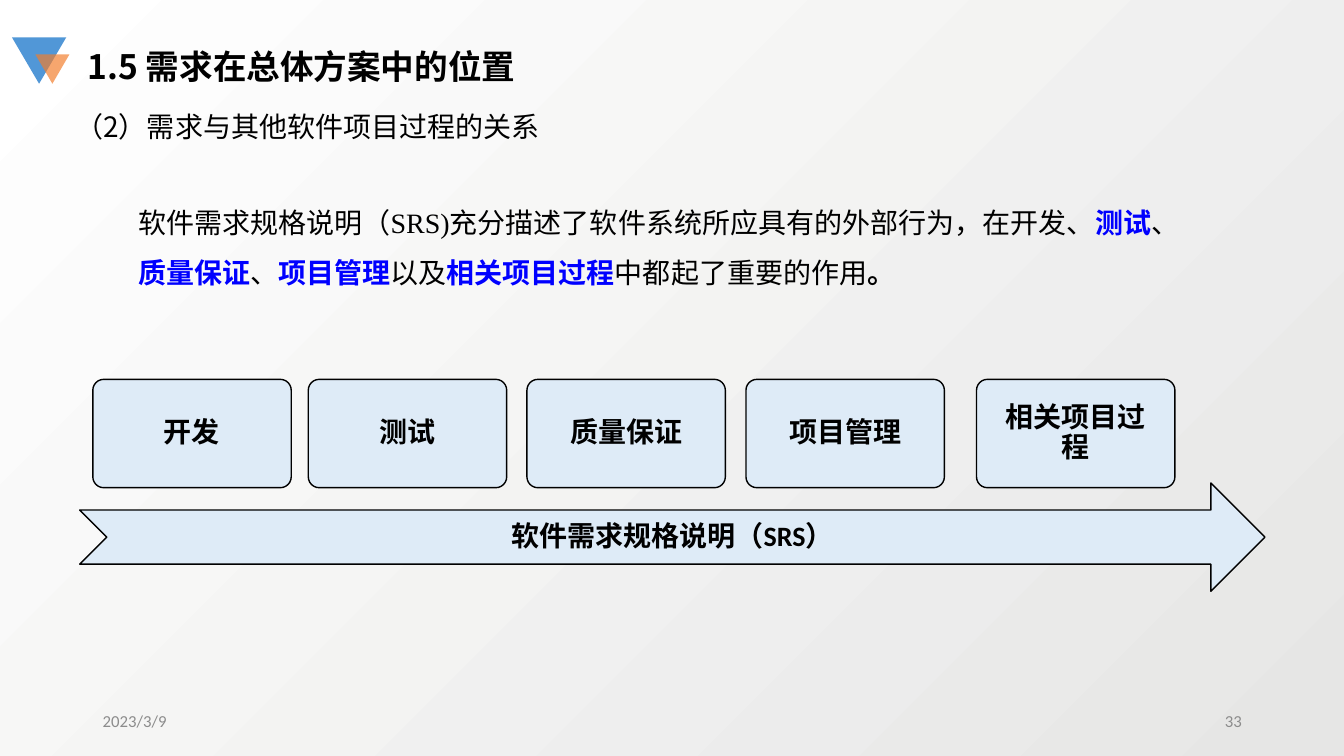
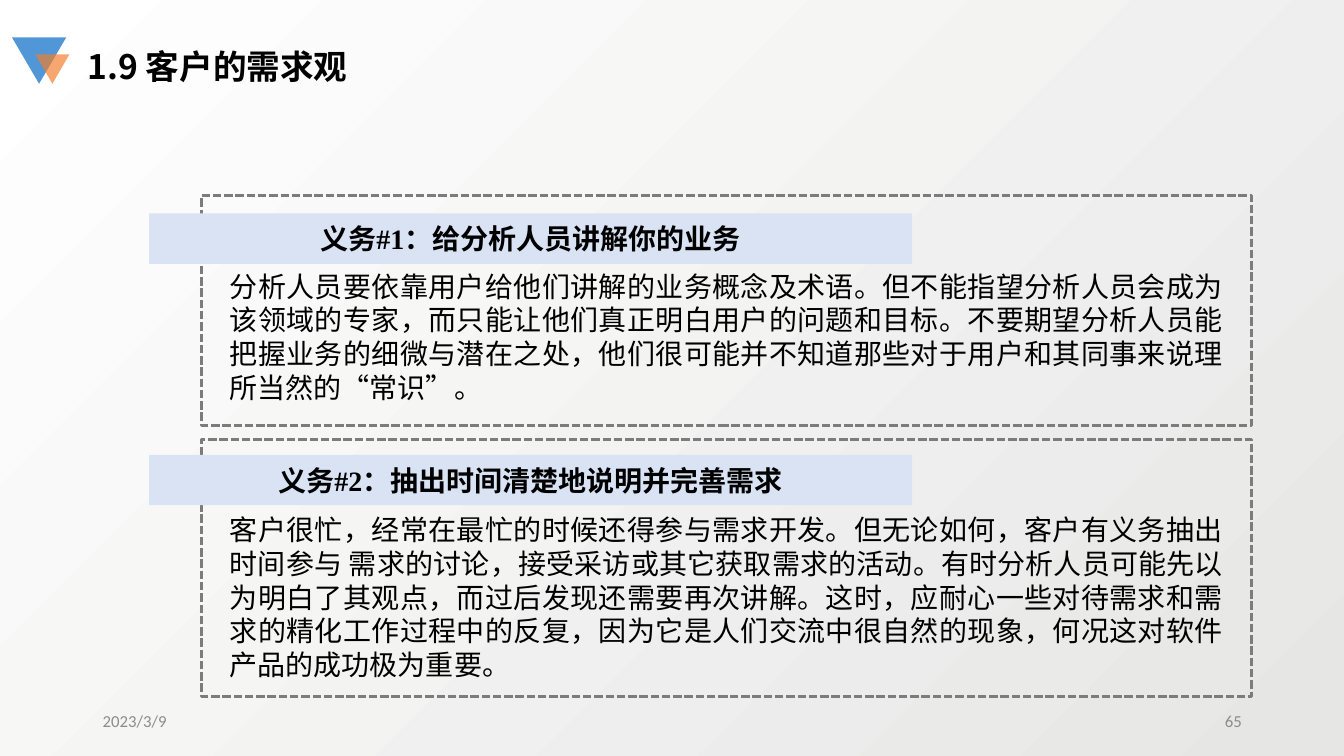
"""Build two slides on software requirements: their place in a project and the customer's duties."""
from lxml import etree
from pptx import Presentation
from pptx.dml.color import RGBColor
from pptx.enum.dml import MSO_LINE
from pptx.enum.shapes import MSO_SHAPE
from pptx.enum.text import MSO_ANCHOR, PP_ALIGN
from pptx.oxml.ns import qn
from pptx.util import Cm, Pt

RECTANGLE = MSO_SHAPE.RECTANGLE
ROUNDED = MSO_SHAPE.ROUNDED_RECTANGLE
NOTCHED_ARROW = MSO_SHAPE.NOTCHED_RIGHT_ARROW
TRIANGLE = MSO_SHAPE.ISOSCELES_TRIANGLE
DASHED = MSO_LINE.SQUARE_DOT
MIDDLE = MSO_ANCHOR.MIDDLE
CENTER, RIGHT, JUSTIFY = PP_ALIGN.CENTER, PP_ALIGN.RIGHT, PP_ALIGN.JUSTIFY

SANS, LATIN, SERIF = "Noto Sans CJK SC", "Calibri", "Times New Roman"
BLACK, BLUE, GRAY, DASH_GRAY = "000000", "0000FF", "8C8C8C", "7C7C7C"
PALE_BLUE, BAND_BLUE = "DEEBF7", "DAE3F3"
LOGO_BLUE, LOGO_ORANGE = "5197D7", "F37D2A"

TITLE = {"name": SANS, "size": Pt(24), "bold": True}
BODY = {"name": SANS, "size": Pt(20), "bold": False}
SERIF_BODY = {**BODY, "name": SERIF}
SERIF_BOLD = {**SERIF_BODY, "bold": True}
LABEL = {"name": LATIN, "size": Pt(20), "bold": True}
FOOTER = {"name": LATIN, "size": Pt(12), "bold": False}

WRAPPED = {"word_wrap": True}
CENTERED = {"word_wrap": True, "vertical_anchor": MIDDLE}
INSET = {**CENTERED, **{f"margin_{side}": Cm(0.43)
                        for side in ("left", "right", "top", "bottom")}}
LABEL_PARAGRAPH = {"alignment": CENTER, "line_spacing": 0.9, "space_after": Pt(7)}


def draw(slide, kind, box, fill=None, line=None, width=1):
    """Add a flat preset shape with its box in centimetres."""
    shape = slide.shapes.add_shape(kind, *map(Cm, box))
    shape.shadow.inherit = False
    if fill:
        shape.fill.solid()
        shape.fill.fore_color.rgb = RGBColor.from_string(fill)
    else:
        shape.fill.background()
    if line:
        shape.line.color.rgb = RGBColor.from_string(line)
        shape.line.width = Pt(width)
    else:
        shape.line.fill.background()
    return shape


def write(shape, runs, frame_format, paragraph_format):
    """Fill a shape with one paragraph of (text, font format, colour) runs."""
    frame = shape.text_frame
    paragraph = frame.paragraphs[0]
    for target, values in ((frame, frame_format), (paragraph, paragraph_format)):
        for key, value in values.items():
            setattr(target, key, value)
    for text, font_format, color in runs:
        run = paragraph.add_run()
        run.text = text
        for key, value in font_format.items():
            setattr(run.font, key, value)
        run.font.color.rgb = RGBColor.from_string(color)
        east_asian = etree.SubElement(run.font._element, qn("a:ea"))
        east_asian.set("typeface", SANS)


deck = Presentation()
deck.slide_width, deck.slide_height = Cm(33.87), Cm(19.05)

backdrop = deck.slide_master.background.fill
backdrop.gradient()
backdrop.gradient_angle = 135
for stop, color in zip(backdrop.gradient_stops, ("E6E6E5", "FFFFFF")):
    stop.color.rgb = RGBColor.from_string(color)

pages = []
for title, number in (("1.5 需求在总体方案中的位置", "33"), ("1.9 客户的需求观", "65")):
    page = deck.slides.add_slide(deck.slide_layouts[6])
    pages.append(page)
    for box, color in (((0.3, 0.94, 1.37, 1.17), LOGO_BLUE),
                       ((0.89, 1.37, 0.86, 0.74), LOGO_ORANGE)):
        emblem = draw(page, TRIANGLE, box, color)
        emblem.rotation = 180
    tint = emblem.fill._xPr.find(".//" + qn("a:srgbClr"))
    etree.SubElement(tint, qn("a:alpha")).set("val", "68000")
    for text, box, font, color, frame, paragraph in (
        (title, (1.96, 1.02, 14, 1.27), TITLE, BLACK, WRAPPED, {}),
        ("2023/3/9", (2.34, 17.65, 7.62, 1.02), FOOTER, GRAY, CENTERED, {}),
        (number, (23.93, 17.65, 7.62, 1.02), FOOTER, GRAY, CENTERED, {"alignment": RIGHT}),
    ):
        write(page.shapes.add_textbox(*map(Cm, box)), [(text, font, color)], frame, paragraph)

position_page, duties_page = pages

subtitle = position_page.shapes.add_textbox(Cm(1.65), Cm(2.64), Cm(23.77), Cm(1.12))
write(subtitle, [("（2）需求与其他软件项目过程的关系", BODY, BLACK)], WRAPPED, {})

summary = position_page.shapes.add_textbox(Cm(3.23), Cm(4.62), Cm(26.62), Cm(2.67))
write(summary, [
    ("软件需求规格说明（SRS)充分描述了软件系统所应具有的外部行为，在开发、", SERIF_BODY, BLACK),
    ("测试", SERIF_BOLD, BLUE),
    ("、", SERIF_BODY, BLACK),
    ("质量保证", SERIF_BOLD, BLUE),
    ("、", SERIF_BODY, BLACK),
    ("项目管理", SERIF_BOLD, BLUE),
    ("以及", SERIF_BODY, BLACK),
    ("相关项目过程", SERIF_BOLD, BLUE),
    ("中都起了重要的作用", SERIF_BODY, BLACK),
    ("。", SERIF_BOLD, BLACK),
], WRAPPED, {"line_spacing": 1.5})

for process, left in (("开发", 2.34), ("测试", 7.77), ("质量保证", 13.28),
                      ("项目管理", 18.8), ("相关项目过程", 24.61)):
    card = draw(position_page, ROUNDED, (left, 9.56, 5, 2.73), PALE_BLUE, BLACK)
    card.adjustments[0] = 0.1
    write(card, [(process, LABEL, BLACK)], INSET, LABEL_PARAGRAPH)

srs_arrow = draw(position_page, NOTCHED_ARROW, (2.01, 12.17, 29.87, 2.73), PALE_BLUE, BLACK)
write(srs_arrow, [("软件需求规格说明（SRS）", LABEL, BLACK)], INSET, LABEL_PARAGRAPH)

duties = (
    ("义务#1：给分析人员讲解你的业务", 4.93, 5.79, 5.38,
     "分析人员要依靠用户给他们讲解的业务概念及术语。但不能指望分析人员会成为"
     "该领域的专家，而只能让他们真正明白用户的问题和目标。不要期望分析人员能"
     "把握业务的细微与潜在之处，他们很可能并不知道那些对于用户和其同事来说理"
     "所当然的“常识”。"),
    ("义务#2：抽出时间清楚地说明并完善需求", 11.07, 6.48, 11.46,
     "客户很忙，经常在最忙的时候还得参与需求开发。但无论如何，客户有义务抽出"
     "时间参与 需求的讨论，接受采访或其它获取需求的活动。有时分析人员可能先"
     "以为明白了其观点，而过后发现还需要再次讲解。这时，应耐心一些对待需求和"
     "需求的精化工作过程中的反复，因为它是人们交流中很自然的现象，何况这对软"
     "件产品的成功极为重要。"),
)
for duty, top, height, band_top, explanation in duties:
    border = draw(duties_page, RECTANGLE, (5.08, top, 26.47, height), None, DASH_GRAY, 2)
    border.line.dash_style = DASHED
    details = duties_page.shapes.add_textbox(Cm(5.54), Cm(top + 1.73), Cm(25.53), Cm(height - 2))
    write(details, [(explanation, BODY, BLACK)], WRAPPED, {"alignment": JUSTIFY})
    band = draw(duties_page, RECTANGLE, (3.76, band_top, 19.23, 1.27), BAND_BLUE)
    write(band, [(duty, SERIF_BOLD, BLACK)], CENTERED, {"alignment": CENTER})

deck.save("out.pptx")
